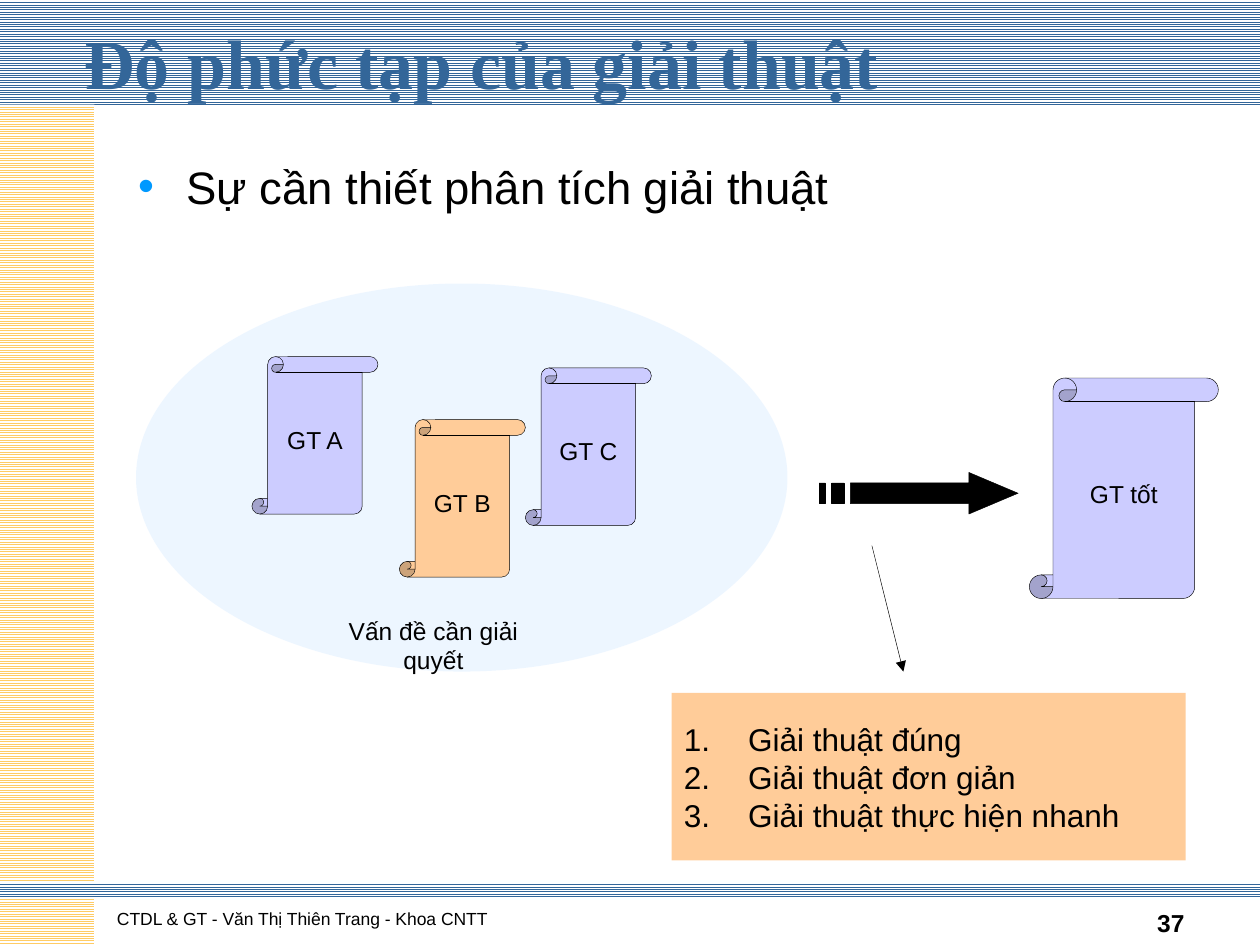
from dataclasses import dataclass

from lxml.etree import SubElement
from pptx import Presentation
from pptx.dml.color import RGBColor
from pptx.enum.dml import MSO_PATTERN
from pptx.enum.shapes import MSO_CONNECTOR, MSO_SHAPE
from pptx.enum.text import MSO_ANCHOR, MSO_AUTO_SIZE, PP_ALIGN
from pptx.oxml.ns import qn
from pptx.util import Inches, Pt


@dataclass(frozen=True)
class Theme:
    heading_font: str = "Times New Roman"
    text_font: str = "Arial"
    blue: str = "336699"
    sand: str = "FFCC66"
    peach: str = "FFCC99"
    lilac: str = "CCCCFF"
    sky: str = "99CCFF"
    bullet: str = "0099FF"
    black: str = "000000"
    white: str = "FFFFFF"
    title_size: int = 40
    body_size: int = 26
    list_size: int = 18
    label_size: int = 14
    footer_size: int = 10
    line_width: float = 0.25


THEME = Theme()


def color(value):
    return RGBColor.from_string(value)


def inches(box):
    return [Inches(value) for value in box]


def write(paragraph, text, size, font=THEME.text_font, ink=THEME.black, bold=False, align=PP_ALIGN.LEFT):
    paragraph.alignment = align
    paragraph.space_before = Pt(0)
    run = paragraph.add_run()
    run.text = text
    run.font.name = font
    run.font.size = Pt(size)
    run.font.bold = bold
    run.font.color.rgb = color(ink)


def set_marker(paragraph, indent, tag, attributes, ink=None):
    properties = paragraph._p.get_or_add_pPr()
    properties.set("marL", str(Inches(indent)))
    properties.set("indent", str(-Inches(indent)))
    if ink:
        marker_color = SubElement(properties, qn("a:buClr"))
        SubElement(marker_color, qn("a:srgbClr"), val=ink)
    SubElement(properties, qn("a:buFont"), typeface=THEME.text_font)
    SubElement(properties, qn(tag), **attributes)


def set_frame(shape, anchor, wrap=True):
    frame = shape.text_frame
    frame.auto_size = MSO_AUTO_SIZE.NONE
    frame.word_wrap = wrap
    frame.vertical_anchor = anchor
    return frame


def place_placeholder(placeholder, box, anchor):
    placeholder.left, placeholder.top, placeholder.width, placeholder.height = inches(box)
    return set_frame(placeholder, anchor)


def outline(shape):
    shape.line.color.rgb = color(THEME.black)
    shape.line.width = Pt(THEME.line_width)


def add_solid(shapes, kind, box, fill, outlined=False):
    shape = shapes.add_shape(kind, *inches(box))
    shape.shadow.inherit = False
    shape.fill.solid()
    shape.fill.fore_color.rgb = color(fill)
    if outlined:
        outline(shape)
    else:
        shape.line.fill.background()
    return shape


def add_text(shapes, box, text, size, anchor, align=PP_ALIGN.LEFT, bold=False):
    frame = set_frame(shapes.add_textbox(*inches(box)), anchor)
    write(frame.paragraphs[0], text, size, bold=bold, align=align)


def add_bands(slide):
    bands = [
        ((0, 0, 10, 0.83), THEME.blue),
        ((0, 0.83, 0.75, 6.67), THEME.sand),
        ((0, 7, 10, 0.13), THEME.blue),
    ]
    for position, (box, ink) in enumerate(bands, start=2):
        band = add_solid(slide.shapes, MSO_SHAPE.RECTANGLE, box, ink)
        band.fill.patterned()
        band.fill.pattern = MSO_PATTERN.LIGHT_HORIZONTAL
        band.fill.fore_color.rgb = color(ink)
        band.fill.back_color.rgb = color(THEME.white)
        band.element.getparent().insert(position, band.element)


def add_footer(slide):
    add_text(slide.shapes, (0.83, 6.92, 6.08, 0.5), "CTDL & GT - Văn Thị Thiên Trang - Khoa CNTT",
             THEME.footer_size, MSO_ANCHOR.BOTTOM)
    add_text(slide.shapes, (7.17, 6.99, 2.33, 0.5), "37", THEME.label_size,
             MSO_ANCHOR.BOTTOM, PP_ALIGN.RIGHT, bold=True)


def add_heading(slide):
    title = place_placeholder(slide.shapes.title, (0.57, 0.06, 9, 0.86), MSO_ANCHOR.MIDDLE)
    write(title.paragraphs[0], "Độ phức tạp của giải thuật", THEME.title_size,
          THEME.heading_font, THEME.blue, bold=True)
    body = place_placeholder(slide.placeholders[1], (1, 1.21, 8.58, 5.7), MSO_ANCHOR.TOP)
    paragraph = body.paragraphs[0]
    set_marker(paragraph, 0.38, "a:buChar", {"char": "•"}, THEME.bullet)
    write(paragraph, "Sự cần thiết phân tích giải thuật", THEME.body_size, align=PP_ALIGN.JUSTIFY)


def add_scroll(shapes, box, text, fill):
    scroll = add_solid(shapes, MSO_SHAPE.VERTICAL_SCROLL, box, fill, outlined=True)
    frame = set_frame(scroll, MSO_ANCHOR.MIDDLE, wrap=False)
    write(frame.paragraphs[0], text, THEME.label_size, align=PP_ALIGN.CENTER)


def add_problem(slide, box):
    left, top, width, height = box
    shapes = slide.shapes.add_group_shape().shapes
    ellipse = add_solid(shapes, MSO_SHAPE.OVAL, box, THEME.sky)
    fill_color = ellipse.fill._xPr.find(qn("a:solidFill"))[0]
    SubElement(fill_color, qn("a:alpha"), val="17000")
    scrolls = [
        (0.92, 0.58, "GT A", THEME.lilac),
        (2.09, 1.08, "GT B", THEME.peach),
        (3.09, 0.67, "GT C", THEME.lilac),
    ]
    for across, down, text, fill in scrolls:
        add_scroll(shapes, (left + across, top + down, 1, 1.25), text, fill)
    add_text(shapes, (left + 1.56, top + 2.59, 1.6, 0.58), "Vấn đề cần giải quyết",
             THEME.label_size, MSO_ANCHOR.TOP, PP_ALIGN.CENTER)


def add_striped_arrow(slide, box):
    left, top, width, height = box
    right, bottom = left + width, top + height
    upper, lower = top + height / 4, bottom - height / 4
    neck = right - 0.39
    head = [(neck, top), (neck, upper), (left + 0.25, upper), (left + 0.25, lower),
            (neck, lower), (neck, bottom), (right, top + height / 2)]
    stripes = [
        [(start, upper), (start, lower), (end, lower), (end, upper)]
        for start, end in ((left + 0.1, left + 0.2), (left, left + 0.05))
    ]
    builder = slide.shapes.build_freeform(*inches(head[0]))
    for contour in [head, *stripes]:
        points = [inches(point) for point in contour]
        if contour is not head:
            builder.move_to(*points[0])
        builder.add_line_segments(points[1:], close=True)
    arrow = builder.convert_to_shape()
    arrow.shadow.inherit = False
    arrow.fill.solid()
    arrow.fill.fore_color.rgb = color(THEME.black)
    outline(arrow)


def add_criteria(slide, box):
    panel = add_solid(slide.shapes, MSO_SHAPE.RECTANGLE, box, THEME.peach)
    frame = set_frame(panel, MSO_ANCHOR.MIDDLE)
    criteria = ["Giải thuật đúng", "Giải thuật đơn giản", "Giải thuật thực hiện nhanh"]
    for index, text in enumerate(criteria):
        paragraph = frame.add_paragraph() if index else frame.paragraphs[0]
        set_marker(paragraph, 0.51, "a:buAutoNum", {"type": "arabicPeriod"})
        write(paragraph, text, THEME.list_size)


def add_pointer(slide, start, end):
    pointer = slide.shapes.add_connector(MSO_CONNECTOR.STRAIGHT, *inches(start), *inches(end))
    outline(pointer)
    SubElement(pointer.line._get_or_add_ln(), qn("a:tailEnd"), type="triangle")
    SubElement(pointer.element.spPr, qn("a:effectLst"))


def main():
    presentation = Presentation()
    presentation.slide_width, presentation.slide_height = Inches(10), Inches(7.5)
    slide = presentation.slides.add_slide(presentation.slide_layouts[1])
    add_bands(slide)
    add_footer(slide)
    add_heading(slide)
    add_problem(slide, (1.08, 2.25, 5.17, 3.08))
    add_striped_arrow(slide, (6.5, 3.75, 1.58, 0.33))
    add_scroll(slide.shapes, (8.17, 3, 1.5, 1.75), "GT tốt", THEME.lilac)
    add_criteria(slide, (5.33, 5.5, 4.08, 1.33))
    add_pointer(slide, (6.92, 4.33), (7.17, 5.33))
    presentation.save("out.pptx")


if __name__ == "__main__":
    main()
